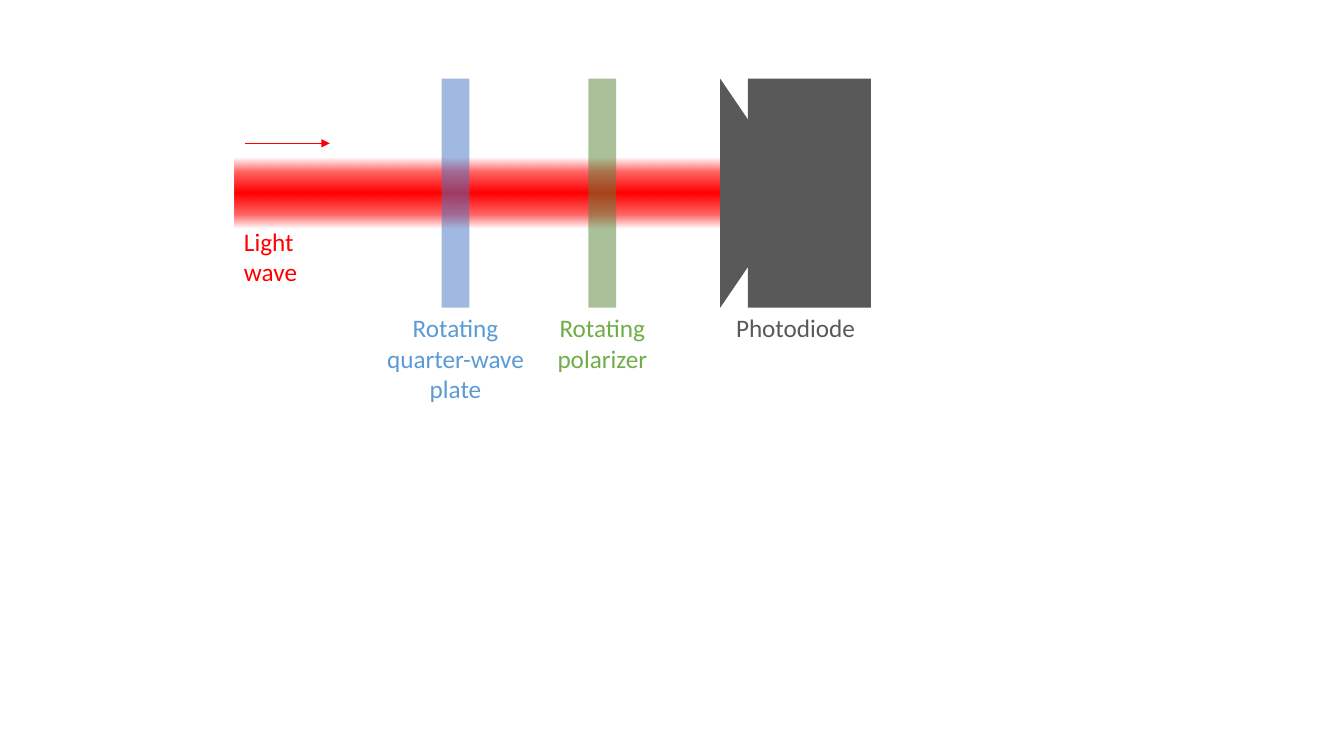
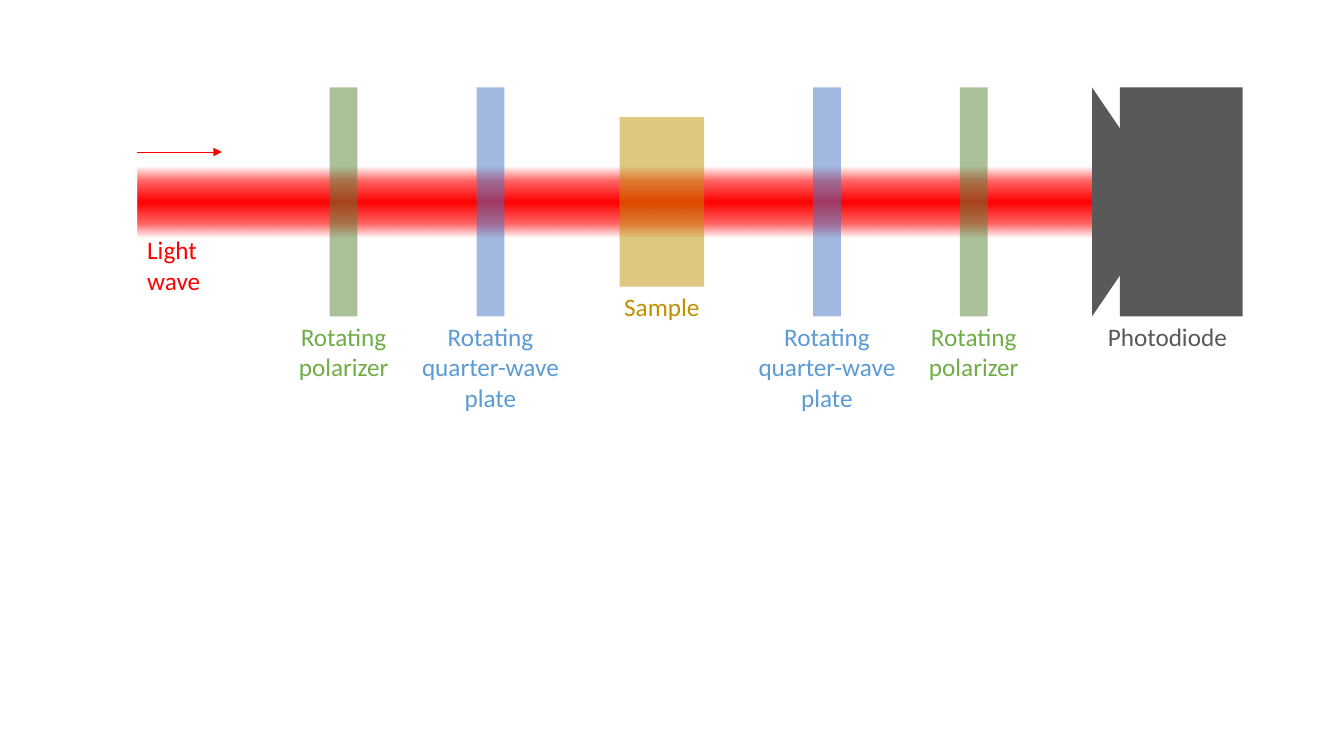
from pptx import Presentation
from pptx import util as u
from pptx.dml.color import RGBColor
from pptx.enum import shapes as s, text as t
from pptx.oxml.ns import qn
from lxml import etree

FONT = "Calibri"
RED, BLUE, GREEN, GOLD, GREY = "FF0000", "4472C4", "548235", "BF9000", "595959"
PLATE_H = 5.77
BEAM_H = 1.78
CAMERA_W = 3.8

# name: (label, lines, fill, label colour, width, height)
PARTS = {
    "plate": ("Rotating quarter-wave plate", 3, BLUE, "5B9BD5", 0.7, PLATE_H),
    "filter": ("Rotating polarizer", 2, GREEN, "70AD47", 0.7, PLATE_H),
    "sample": ("Sample", 1, GOLD, GOLD, 2.13, 4.27),
}


def cm(*sizes):
    return [u.Cm(size) for size in sizes]


def color(code):
    return RGBColor.from_string(code)


def fade(node, percent):
    """Set the opacity of a colour element."""
    etree.SubElement(node, qn("a:alpha"), val=str(percent * 1000))


def write(group, text, x, y, w, lines=1, ink=GREY, size=18,
          align=t.PP_ALIGN.CENTER):
    box = group.shapes.add_textbox(*cm(x, y, w, 0.25 + 0.76 * lines))
    frame = box.text_frame
    frame.word_wrap = True
    frame.auto_size = t.MSO_AUTO_SIZE.SHAPE_TO_FIT_TEXT
    para = frame.paragraphs[0]
    para.alignment = align
    run = para.add_run()
    run.text = text
    run.font.name, run.font.size = FONT, u.Pt(size)
    run.font.color.rgb = color(ink)


def block(group, x, y, w, h, fill, opaque=100, kind=s.MSO_SHAPE.RECTANGLE):
    shape = group.shapes.add_shape(kind, *cm(x, y, w, h))
    shape.shadow.inherit = False
    shape.line.fill.background()
    shape.fill.solid()
    shape.fill.fore_color.rgb = color(fill)
    if opaque < 100:
        fade(next(shape.fill._xPr.iter(qn("a:srgbClr"))), opaque)
    return shape


def beam(group, x, axis, w):
    """Draw a light beam that fades out above and below its axis."""
    band = block(group, x, axis - BEAM_H / 2, w, BEAM_H, RED)
    band.fill.gradient()
    band.fill.gradient_angle = 270
    stops = next(band.fill._xPr.iter(qn("a:gsLst")))
    for stop in list(stops):
        stops.remove(stop)
    for place, opaque in ((0, 0), (20, 60), (50, 100), (80, 60), (100, 0)):
        stop = etree.SubElement(stops, qn("a:gs"), pos=str(place * 1000))
        fade(etree.SubElement(stop, qn("a:srgbClr"), val=RED), opaque)
    write(group, "Light wave", x, axis + 0.7, 2.39, lines=2, ink=RED,
          align=t.PP_ALIGN.LEFT)


def arrow(group, x, y, w=2.13):
    line = group.shapes.add_connector(s.MSO_CONNECTOR.STRAIGHT,
                                      *cm(x, y, x + w, y))
    line.line.color.rgb = color(RED)
    line.line.width = u.Pt(0.5)
    etree.SubElement(line.line._get_or_add_ln(), qn("a:tailEnd"),
                     type="triangle")
    etree.SubElement(line._element.spPr, qn("a:effectLst"))


def optic(group, name, mid, axis):
    """Draw a see-through part centred on the beam, with its label below."""
    label, lines, fill, ink, w, h = PARTS[name]
    block(group, mid - w / 2, axis - h / 2, w, h, fill, opaque=50)
    write(group, label, mid - 2.39, axis + h / 2, 4.78, lines=lines, ink=ink)


def camera(group, x, axis):
    """Draw the photodiode: a flared opening in front of a solid body."""
    depth, front = 0.81, 0.7
    flare = block(group, x + depth / 2 - PLATE_H / 2, axis - depth / 2,
                  PLATE_H, depth, GREY, kind=s.MSO_SHAPE.TRAPEZOID)
    flare.rotation = 90
    flare.adjustments[0] = 1.468
    top = axis - PLATE_H / 2
    block(group, x + front, top, CAMERA_W - front, PLATE_H, GREY)
    write(group, "Photodiode", x, top + PLATE_H, CAMERA_W)


def setup(deck, start, end, axis, optics, shift=0):
    """Add a slide with a beam from start to end that crosses the optics."""
    slide = deck.slides.add_slide(deck.slide_layouts[6])
    group = slide.shapes.add_group_shape()
    beam(group, start, axis, end - start)
    for name, mid in optics:
        optic(group, name, mid, axis)
    camera(group, end, axis)
    arrow(group, start + shift, axis - 1.26)


def main():
    deck = Presentation()
    deck.slide_width, deck.slide_height = cm(33.87, 19.05)
    setup(deck, 5.9, 18.15, 4.87,
          [("plate", 11.48), ("filter", 15.18)], shift=0.28)
    setup(deck, 3.46, 27.52, 5.09,
          [("filter", 8.66), ("plate", 12.36), ("sample", 16.68),
           ("plate", 20.84), ("filter", 24.54)])
    deck.save("out.pptx")


if __name__ == "__main__":
    main()
